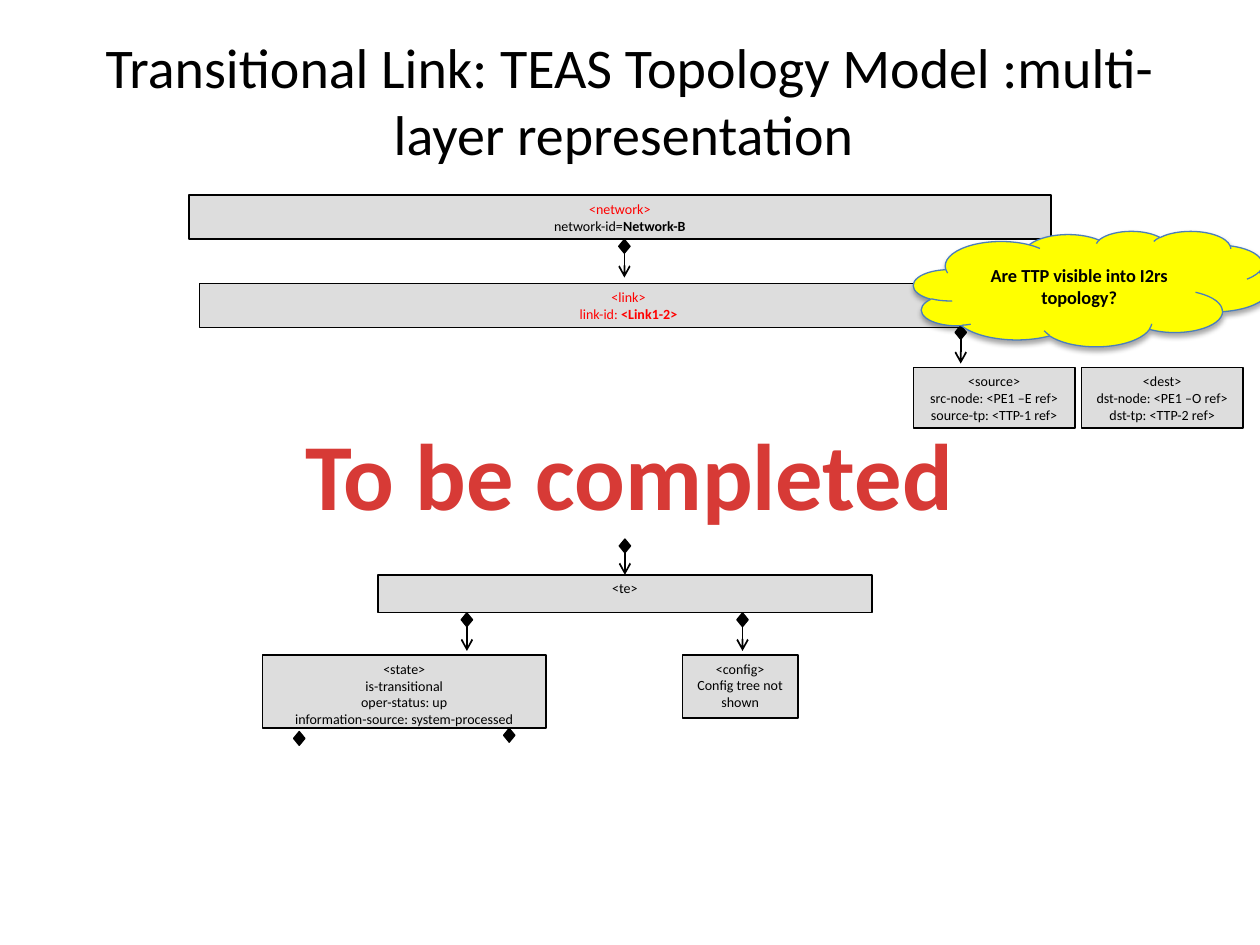
import pptx
import pptx.util
import pptx.dml.color
import pptx.enum.shapes
import pptx.enum.text
import pptx.oxml
import pptx.oxml.ns

Pt = pptx.util.Pt
SHAPE = pptx.enum.shapes.MSO_SHAPE
ANCHOR = pptx.enum.text.MSO_ANCHOR
CENTER = pptx.enum.text.PP_ALIGN.CENTER
AUTO_SIZE = pptx.enum.text.MSO_AUTO_SIZE

FONT = "Calibri"
COLORS = {
    "black": "000000",
    "gray": "DDDDDD",
    "red": "FF0000",
    "banner": "D73A36",
    "yellow": "FFFF00",
    "blue": "4B7EBC",
}
DIAMOND_WIDTH, DIAMOND_HEIGHT = 6.5, 7.9
ARROW_LENGTH = 14.4


def rgb(name):
    return pptx.dml.color.RGBColor.from_string(COLORS[name])


def parse_element(xml):
    namespaces = pptx.oxml.ns.nsdecls("a")
    return pptx.oxml.parse_xml(xml.replace("NS", namespaces, 1))


def style_paragraph(paragraph, size, color="black", bold=False):
    paragraph.alignment = CENTER
    paragraph.font.name = FONT
    paragraph.font.size = Pt(size)
    paragraph.font.bold = bold
    paragraph.font.color.rgb = rgb(color)


def add_filled_shape(slide, kind, bounds, fill, line="black", line_width=1):
    shape = slide.shapes.add_shape(kind, *map(Pt, bounds))
    shape.shadow.inherit = False
    shape.fill.solid()
    shape.fill.fore_color.rgb = rgb(fill)
    shape.line.color.rgb = rgb(line)
    shape.line.width = Pt(line_width)
    return shape


def add_box(slide, bounds, lines, tag_color="black", color="black", bold_end=""):
    """Add a gray model node; bold_end follows the last line in bold."""
    box = add_filled_shape(slide, SHAPE.RECTANGLE, bounds, "gray")
    frame = box.text_frame
    frame.word_wrap = True
    frame.vertical_anchor = ANCHOR.TOP
    frame.margin_left = frame.margin_right = Pt(5)
    frame.margin_top = frame.margin_bottom = Pt(2.9)
    frame.text = "\n".join(lines)
    for index, paragraph in enumerate(frame.paragraphs):
        style_paragraph(paragraph, 8, color if index else tag_color)
    if bold_end:
        run = frame.paragraphs[-1].add_run()
        run.text = bold_end
        run.font.bold = True
    return box


def add_diamond(slide, center, top):
    bounds = (center - DIAMOND_WIDTH / 2, top, DIAMOND_WIDTH, DIAMOND_HEIGHT)
    add_filled_shape(slide, SHAPE.DIAMOND, bounds, "black", line_width=0.75)


def add_composition(slide, center, top, target=None):
    """Add a diamond with an arrow down, joined to the target if there is one."""
    add_diamond(slide, center, top)
    start = top + DIAMOND_HEIGHT - 0.5
    arrow = slide.shapes.add_connector(
        pptx.enum.shapes.MSO_CONNECTOR.STRAIGHT,
        Pt(center), Pt(start), Pt(center), Pt(start + ARROW_LENGTH))
    arrow.line.color.rgb = rgb("black")
    arrow.line.width = Pt(1)
    arrow.line._get_or_add_ln().append(parse_element('<a:tailEnd NS type="arrow"/>'))
    arrow._element.spPr.append(parse_element("<a:effectLst NS/>"))
    if target is not None:
        arrow.end_connect(target, 0)


def add_cloud(slide, bounds, text):
    cloud = add_filled_shape(slide, SHAPE.CLOUD, bounds, "yellow", "blue", 0.75)
    frame = cloud.text_frame
    frame.word_wrap = True
    frame.vertical_anchor = ANCHOR.MIDDLE
    frame.text = text
    style_paragraph(frame.paragraphs[0], 10.5, bold=True)
    effects = cloud._element.spPr.find(pptx.oxml.ns.qn("a:effectLst"))
    effects.append(parse_element(
        f'<a:outerShdw NS blurRad="{Pt(3.1)}" dist="{Pt(1.8)}" dir="5400000" '
        f'rotWithShape="0"><a:srgbClr val="{COLORS["black"]}">'
        '<a:alpha val="35000"/></a:srgbClr></a:outerShdw>'))


def add_banner(slide, bounds, text):
    banner = slide.shapes.add_textbox(*map(Pt, bounds))
    frame = banner.text_frame
    frame.word_wrap = False
    frame.auto_size = AUTO_SIZE.SHAPE_TO_FIT_TEXT
    frame.text = text
    paragraph = frame.paragraphs[0]
    style_paragraph(paragraph, 54, "banner", bold=True)
    properties = paragraph.runs[0].font._element
    properties.insert(0, parse_element(
        f'<a:ln NS w="{Pt(1.42)}"><a:solidFill>'
        f'<a:srgbClr val="{COLORS["banner"]}"/></a:solidFill></a:ln>'))


def set_title(slide, text):
    title = slide.shapes.title
    title.left, title.top, title.width, title.height = map(Pt, (36, 12, 648, 90))
    frame = title.text_frame
    frame.text = text
    frame.word_wrap = True
    frame.auto_size = AUTO_SIZE.NONE
    frame.vertical_anchor = ANCHOR.MIDDLE
    style_paragraph(frame.paragraphs[0], 32)


def main():
    presentation = pptx.Presentation()
    presentation.slide_width, presentation.slide_height = Pt(720), Pt(540)
    slide = presentation.slides.add_slide(presentation.slide_layouts[5])
    set_title(slide, "Transitional Link: TEAS Topology Model :multi-layer representation ")

    add_box(slide, (108, 111.6, 492.5, 25.2), ["<network>", "network-id="],
            tag_color="red", bold_end="Network-B")
    add_box(slide, (114, 162, 490.3, 25.2), ["<link>", "link-id: "],
            tag_color="red", color="red", bold_end="<Link1-2>")
    add_composition(slide, 356.8, 136.8)

    te_box = add_box(slide, (216, 328.5, 282.2, 21.6), ["<te>"])
    add_composition(slide, 357.1, 308, te_box)
    for center in (266.8, 424.3):
        add_composition(slide, center, 350.2)
    add_box(slide, (150, 374.4, 162, 41.8),
            ["<state>", "is-transitional", "oper-status: up",
             "information-source: system-processed"])
    add_box(slide, (390, 374.4, 66, 36), ["<config>", "Config tree not shown"])
    add_diamond(slide, 171, 418)
    add_diamond(slide, 291, 416.2)

    add_composition(slide, 549, 186)
    add_cloud(slide, (522, 132, 204, 66), "Are TTP visible into I2rs topology?")
    endpoints = [
        ["<source>", "src-node: <PE1 –E ref>", "source-tp: <TTP-1 ref>"],
        ["<dest>", "dst-node: <PE1 –O ref>", "dst-tp: <TTP-2 ref>"],
    ]
    for column, lines in enumerate(endpoints):
        add_box(slide, (522 + 96 * column, 210, 92.2, 34.6), lines)

    add_banner(slide, (165.6, 234, 388, 72.7), "To be completed")
    presentation.save("out.pptx")


if __name__ == "__main__":
    main()
